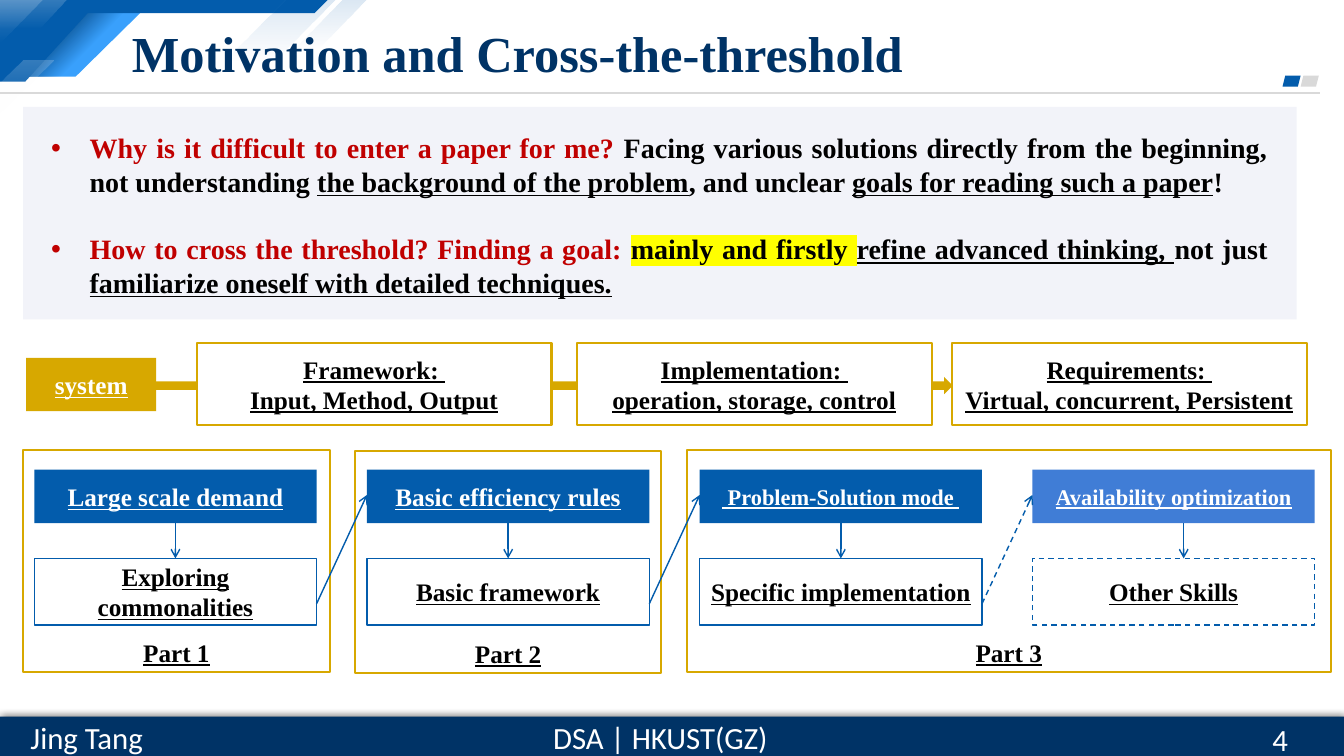
"""Build the slide on motivation and crossing the threshold of reading papers."""
from dataclasses import dataclass, replace

from lxml import etree
from pptx import Presentation
from pptx.dml.color import RGBColor
from pptx.enum.dml import MSO_LINE
from pptx.enum.shapes import MSO_CONNECTOR, MSO_SHAPE
from pptx.enum.text import MSO_ANCHOR, PP_ALIGN
from pptx.oxml.ns import qn
from pptx.util import Inches, Pt

RECT, ARROW = MSO_SHAPE.RECTANGLE, MSO_SHAPE.RIGHT_ARROW
PARALLELOGRAM = MSO_SHAPE.PARALLELOGRAM
STRAIGHT, DASH = MSO_CONNECTOR.STRAIGHT, MSO_LINE.DASH
TOP, MIDDLE, BOTTOM = MSO_ANCHOR.TOP, MSO_ANCHOR.MIDDLE, MSO_ANCHOR.BOTTOM
LEFT, CENTER, JUSTIFY = PP_ALIGN.LEFT, PP_ALIGN.CENTER, PP_ALIGN.JUSTIFY
SERIF, SANS = "Times New Roman", "Calibri"
BLUE, NAVY, GOLD, GREY = "035CAC", "003366", "D7A800", "D9D9D9"
WHITE, BLACK, RED, YELLOW = "FFFFFF", "000000", "C00000", "FFFF00"


@dataclass(frozen=True)
class Run:
    text: str
    size: float = 18
    color: str = BLACK
    underline: bool = False
    font: str = SERIF
    bold: bool = True
    highlight: str = ""


@dataclass(frozen=True)
class Box:
    x: float
    y: float
    w: float
    h: float


@dataclass(frozen=True)
class Fade:
    color: str
    start: tuple[int, int] = (0, 20)
    end: tuple[int, int] = (100, 0)
    angle: int = 90


@dataclass(frozen=True)
class Facet:
    points: tuple[tuple[float, float], ...]
    fill: str | Fade


@dataclass(frozen=True)
class Step:
    head: str
    body: str
    size: float = 18
    fill: str = BLUE
    dashed: bool = False
    arrow_x: float = 1.4


def rgb(value: str) -> RGBColor:
    return RGBColor.from_string(value)


def add_sub(parent, tag: str, **attrs: object):
    return etree.SubElement(parent, qn(tag), {k: str(v) for k, v in attrs.items()})


def add_color(parent, color: str, alpha: int) -> None:
    clr = add_sub(parent, "a:srgbClr", val=color)
    add_sub(clr, "a:alpha", val=alpha * 1000)


def paint(sp, fill: str | Fade, line: str = "", width: float = 1.5, dashed: bool = False) -> None:
    sp.shadow.inherit = False
    if isinstance(fill, Fade):
        sp.fill.background()
        spPr = sp.fill._xPr
        none = spPr.find(qn("a:noFill"))
        grad = etree.Element(qn("a:gradFill"), rotWithShape="1")
        stops = add_sub(grad, "a:gsLst")
        for pos, alpha in (fill.start, fill.end):
            add_color(add_sub(stops, "a:gs", pos=pos * 1000), fill.color, alpha)
        add_sub(grad, "a:lin", ang=fill.angle * 60000, scaled=0)
        spPr.replace(none, grad)
    elif fill:
        sp.fill.solid()
        sp.fill.fore_color.rgb = rgb(fill)
    else:
        sp.fill.background()
    if not line:
        sp.line.fill.background()
        return
    sp.line.color.rgb = rgb(line)
    sp.line.width = Pt(width)
    if dashed:
        sp.line.dash_style = DASH


def write(sp, paragraphs: list[list[Run]], align=CENTER, anchor=MIDDLE, bullets: bool = False) -> None:
    tf = sp.text_frame
    tf.word_wrap = True
    tf.vertical_anchor = anchor
    for i, runs in enumerate(paragraphs):
        p = tf.add_paragraph() if i else tf.paragraphs[0]
        p.alignment = align
        if bullets:
            pPr = p._p.get_or_add_pPr()
            pPr.set("marL", str(Inches(0.38)))
            pPr.set("indent", str(-Inches(0.38)))
            add_sub(pPr, "a:buFont", typeface="Arial")
            add_sub(pPr, "a:buChar", char="•")
            if i:
                p.space_before = Pt(24)
        for run in runs:
            r = p.add_run()
            r.text = run.text
            r.font.size, r.font.bold = Pt(run.size), run.bold
            r.font.underline = run.underline
            r.font.color.rgb = rgb(run.color)
            if run.highlight:
                mark = etree.Element(qn("a:highlight"))
                add_sub(mark, "a:srgbClr", val=run.highlight)
                r._r.rPr.find(qn("a:solidFill")).addnext(mark)
            r.font.name = run.font


def add_shape(s, kind, box: Box, fill: str, line: str = "", width: float = 1.5, dashed: bool = False):
    sp = s.shapes.add_shape(kind, Inches(box.x), Inches(box.y), Inches(box.w), Inches(box.h))
    paint(sp, fill, line, width, dashed)
    return sp


def add_text(s, box: Box, paragraphs: list[list[Run]], align=CENTER, anchor=MIDDLE, bullets: bool = False) -> None:
    sp = s.shapes.add_textbox(Inches(box.x), Inches(box.y), Inches(box.w), Inches(box.h))
    write(sp, paragraphs, align, anchor, bullets)


def add_facet(s, facet: Facet) -> None:
    points = [(Inches(x), Inches(y)) for x, y in facet.points]
    builder = s.shapes.build_freeform(*points[0])
    builder.add_line_segments(points[1:], close=True)
    paint(builder.convert_to_shape(), facet.fill)


def add_line(s, x1: float, y1: float, x2: float, y2: float, color: str = BLUE,
             width: float = 1, arrow: bool = True, dashed: bool = False) -> None:
    cx = s.shapes.add_connector(STRAIGHT, Inches(x1), Inches(y1), Inches(x2), Inches(y2))
    cx.line.color.rgb = rgb(color)
    cx.line.width = Pt(width)
    if dashed:
        cx.line.dash_style = DASH
    if arrow:
        add_sub(cx.line._get_or_add_ln(), "a:tailEnd", type="arrow")
    add_sub(cx._element.spPr, "a:effectLst")


def add_frame(s) -> None:
    wedge = ((0.84, 0.07), (1.45, 0.07), (0.75, 0.76), (0.16, 0.76))
    white, blue = Fade(WHITE), Fade(BLUE, start=(0, 15))
    for facet in (
        Facet(wedge, "39A0FC"),
        Facet(wedge, Fade("024581", (29, 100), (57, 0), 45)),
        Facet(((0, 0), (3.25, 0), (3.12, 0.13), (0.87, 0.13), (0.25, 0.81), (0, 0.81)), BLUE),
        Facet(((0, 0), (0.42, 0), (0, 0.42)), white),
        Facet(((0, 0), (0.66, 0), (0.39, 0.28), (0, 0.28)), white),
        Facet(((2.84, 0), (3.33, 0), (2.72, 0.61), (2.22, 0.61)), blue),
        Facet(((3.4, 0), (3.64, 0), (3.15, 0.49), (2.91, 0.49)), blue),
        Facet(((0.23, 0.6), (0.53, 0.6), (0, 1.13), (0, 0.83)), white),
    ):
        add_facet(s, facet)
    add_line(s, 0, 0.92, 13.09, 0.92, GREY, 1.5, arrow=False)
    for x, color in ((12.9, GREY), (12.72, BLUE)):
        add_shape(s, PARALLELOGRAM, Box(x, 0.75, 0.18, 0.11), color)
    bar = add_shape(s, RECT, Box(0, 7.11, 13.33, 0.39), NAVY)
    effects = bar._element.spPr.find(qn("a:effectLst"))
    shadow = add_sub(effects, "a:outerShdw", blurRad=Pt(4.5), dist=Pt(1.5), dir=270 * 60000)
    add_color(shadow, BLACK, 63)
    footer = Run("", 22, WHITE, font=SANS, bold=False)
    for text, box, align in (("DSA | HKUST(GZ)", Box(5.36, 7.08, 2.38, 0.47), CENTER),
                             ("Jing Tang", Box(0.16, 7.08, 1.4, 0.47), CENTER),
                             ("4", Box(12.52, 7.13, 0.81, 0.4), LEFT)):
        add_text(s, box, [[replace(footer, text=text)]], align)


def add_questions(s) -> None:
    add_text(s, Box(1.21, 0.17, 10.21, 0.69), [[Run("Motivation and Cross-the-threshold", 36, NAVY)]], LEFT)
    add_shape(s, RECT, Box(0.23, 1.06, 12.63, 2.11), "F2F3F9")
    why = [Run("Why is it difficult to enter a paper for me? ", 20, RED),
           Run("Facing various solutions directly from the beginning, not understanding ", 20),
           Run("the background of the problem", 20, underline=True),
           Run(", and unclear ", 20),
           Run("goals for reading such a paper", 20, underline=True),
           Run("!", 20)]
    how = [Run("How to cross the threshold? Finding a goal: ", 20, RED),
           Run("mainly and firstly ", 20, highlight=YELLOW),
           Run("refine advanced thinking, ", 20, underline=True),
           Run("not just ", 20),
           Run("familiarize oneself with detailed techniques.", 20, underline=True)]
    add_text(s, Box(0.41, 1.25, 12.26, 1.89), [why, how], JUSTIFY, TOP, bullets=True)


def add_system(s) -> None:
    add_shape(s, ARROW, Box(1.55, 3.74, 7.9, 0.17), GOLD)
    sp = add_shape(s, RECT, Box(0.26, 3.55, 1.29, 0.53), GOLD)
    write(sp, [[Run("system", color=WHITE, underline=True)]])
    for x, *lines in ((1.95, "Framework: ", "Input, Method, Output"),
                      (5.72, "Implementation: ", "operation, storage, control"),
                      (9.44, "Requirements: ", "Virtual, concurrent, Persistent")):
        sp = add_shape(s, RECT, Box(x, 3.4, 3.52, 0.82), WHITE, GOLD)
        write(sp, [[Run(line, underline=True)] for line in lines])


def add_parts(s) -> None:
    for name, box in (("Part 3", Box(6.81, 4.46, 6.39, 2.21)),
                      ("Part 2", Box(3.52, 4.47, 3.04, 2.21)),
                      ("Part 1", Box(0.23, 4.46, 3.04, 2.21))):
        sp = add_shape(s, RECT, box, WHITE, GOLD)
        write(sp, [[Run(name, underline=True)]], anchor=BOTTOM)
    steps = (Step("Large scale demand", "Exploring commonalities"),
             Step("Basic efficiency rules", "Basic framework"),
             Step(" Problem-Solution mode ", "Specific implementation", 16),
             Step("Availability optimization", "Other Skills", 16, "407DD6", True, 1.5))
    width, pitch = 2.8, 3.3
    for i, step in enumerate(steps):
        x = 0.34 + pitch * i
        sp = add_shape(s, RECT, Box(x, 4.66, width, 0.53), step.fill)
        write(sp, [[Run(step.head, step.size, WHITE, True)]])
        sp = add_shape(s, RECT, Box(x, 5.54, width, 0.66), "", BLUE, 1, step.dashed)
        write(sp, [[Run(step.body, underline=True)]])
        add_line(s, x + step.arrow_x, 5.19, x + step.arrow_x, 5.54)
        if i:
            add_line(s, x - pitch + width, 5.99, x, 4.91, dashed=step.dashed)


def main() -> None:
    prs = Presentation()
    prs.slide_width, prs.slide_height = Inches(13.33), Inches(7.5)
    s = prs.slides.add_slide(prs.slide_layouts[6])
    for add_section in (add_frame, add_questions, add_system, add_parts):
        add_section(s)
    prs.save("out.pptx")


if __name__ == "__main__":
    main()
